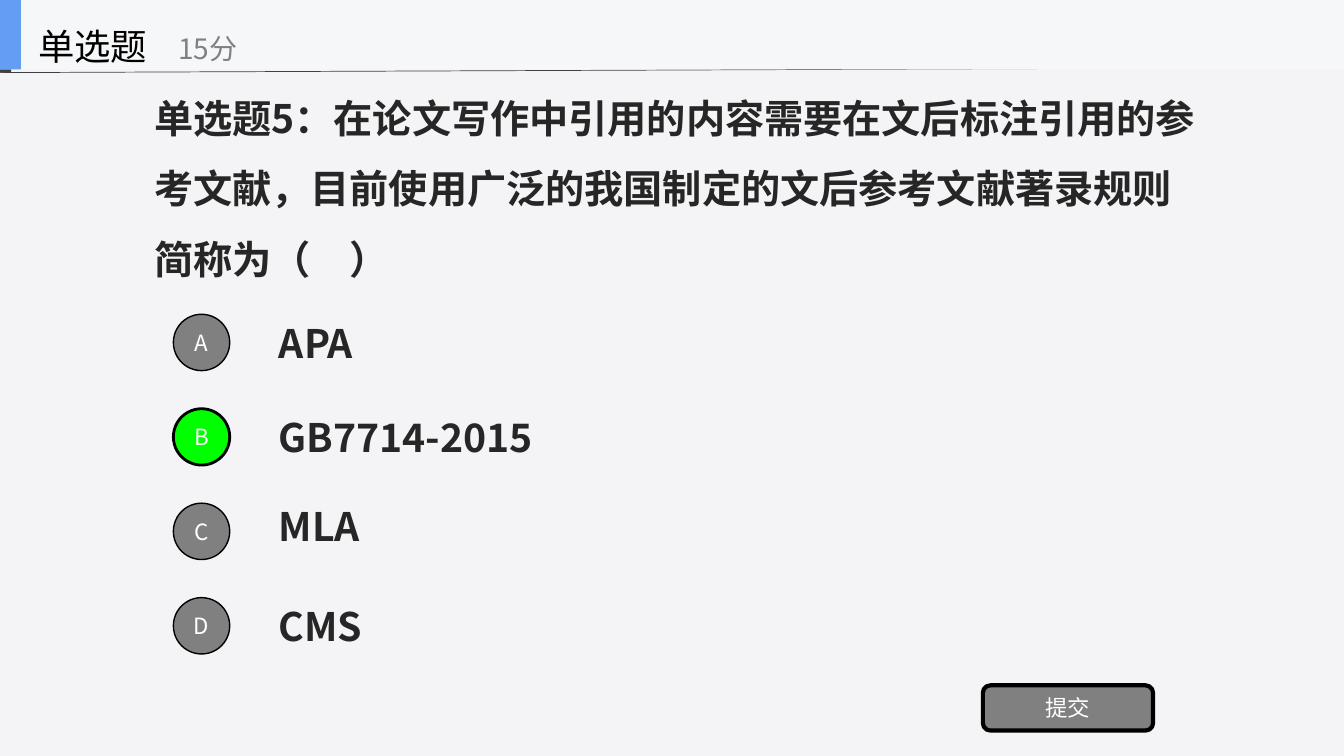
from pptx import Presentation
from pptx import util as u
from pptx.dml import color
from pptx.enum import shapes, text
from pptx.oxml import ns
from lxml import etree

FONT = "Noto Sans CJK SC"
WIDTH, HEIGHT = 33.87, 19.05
INK, GREY, WHITE, BLACK = "262626", "808080", "FFFFFF", "000000"
DARK, GREEN = "404040", "00FF00"


def paint(target, hex_colour):
    """Give a fill or a font colour its solid colour."""
    if hasattr(target, "solid"):
        target.solid()
        target = target.fore_color
    target.rgb = color.RGBColor.from_string(hex_colour)


def place(item, box):
    item.left, item.top, item.width, item.height = map(u.Cm, box)


def write(frame, words, size, hex_colour, bold=False, align="LEFT", spacing=1.0, wrap=True):
    frame.word_wrap = wrap
    frame.auto_size = text.MSO_AUTO_SIZE.NONE
    frame.vertical_anchor = text.MSO_ANCHOR.MIDDLE
    paragraph = frame.paragraphs[0]
    paragraph.alignment = getattr(text.PP_ALIGN, align)
    paragraph.line_spacing = spacing
    run = paragraph.add_run()
    run.text = words
    run.font.size, run.font.bold, run.font.name = u.Pt(size), bold, FONT
    paint(run.font.color, hex_colour)
    # East Asian typeface
    etree.SubElement(run.font._element, ns.qn("a:ea"), typeface=FONT)


def add_label(slide, box, *args, **style):
    label = slide.shapes.add_textbox(*map(u.Cm, box))
    write(label.text_frame, *args, **style)


def add_block(slide, kind, box, fill, border=0):
    block = slide.shapes.add_shape(kind, *map(u.Cm, box))
    block.shadow.inherit = False
    paint(block.fill, fill)
    if border:
        paint(block.line.fill, BLACK)
        block.line.width = u.Pt(border)
    else:
        block.line.fill.background()
    return block


def add_rule(slide, start, end):
    rule = slide.shapes.add_connector(shapes.MSO_CONNECTOR.STRAIGHT, *map(u.Cm, start + end))
    paint(rule.line.fill, DARK)
    rule.line.width = u.Pt(0.5)
    etree.SubElement(rule._element.spPr, ns.qn("a:effectLst"))


def add_header(slide, box, kind, score):
    left, top, width, height = box
    rect = shapes.MSO_SHAPE.RECTANGLE
    # Dark tab and slanted rule behind the bar
    add_block(slide, rect, (left, top + 0.51, 0.28, 1.32), DARK)
    add_rule(slide, (left, top + 1.83), (left + width, top + 1.7))
    # Bar with accent
    add_block(slide, rect, box, "F6F7F8")
    add_block(slide, rect, (left, top, 0.53, height), "639EF4")
    # Question type and score
    add_label(slide, (left + 0.71, top, 5.28, height), kind, 26, BLACK, spacing=1.5, wrap=False)
    add_label(slide, (left + 4.24, top + 0.3, 6.35, 1.42), score, 20, GREY, spacing=1.5, wrap=False)


def add_question(slide, box, words):
    question = slide.shapes.title
    place(question, box)
    write(question.text_frame, words, 28, INK, bold=True, spacing=1.5)
    # Space kept free under the last line
    question.text_frame.margin_bottom = u.Cm(1.9)


def add_options(slide, box, options, correct):
    left, top, width, height = box
    diameter = 1.42
    pitch = (height - diameter) / (len(options) - 1)
    for index, (letter, answer, lift) in enumerate(options):
        y = top + index * pitch
        chosen = letter == correct
        add_label(slide, (left + 2.41, y - lift, width - 2.41, 1.78), answer, 28, INK, bold=True)
        marker = add_block(slide, shapes.MSO_SHAPE.OVAL, (left, y, diameter, diameter),
                           GREEN if chosen else GREY, 2 if chosen else 1)
        write(marker.text_frame, letter, 16, WHITE, align="CENTER")


def add_submit(slide, box, words):
    button = add_block(slide, shapes.MSO_SHAPE.ROUNDED_RECTANGLE, box, GREY, 3)
    write(button.text_frame, words, 16, WHITE, align="CENTER")


def main():
    deck = Presentation()
    deck.slide_width, deck.slide_height = u.Cm(WIDTH), u.Cm(HEIGHT)
    slide = deck.slides.add_slide(deck.slide_layouts[5])
    paint(slide.background.fill, "F4F4F6")

    add_header(slide, (0, 0, WIDTH, 1.75), "单选题", "15分")
    add_question(slide, (3.63, 2.36, 27.1, 5.94),
                 "单选题5：在论文写作中引用的内容需要在文后标注引用的参考文献，"
                 "目前使用广泛的我国制定的文后参考文献著录规则简称为（　）")
    # Letter, answer, and how far its text box starts above the marker
    options = [("A", "APA", 0.17), ("B", "GB7714-2015", 0.19),
               ("C", "MLA", 0.31), ("D", "CMS", 0.18)]
    add_options(slide, (4.37, 7.92, 26.11, 8.56), options, correct="B")
    add_submit(slide, (24.77, 17.27, 4.29, 1.14), "提交")
    deck.save("out.pptx")


if __name__ == "__main__":
    main()
